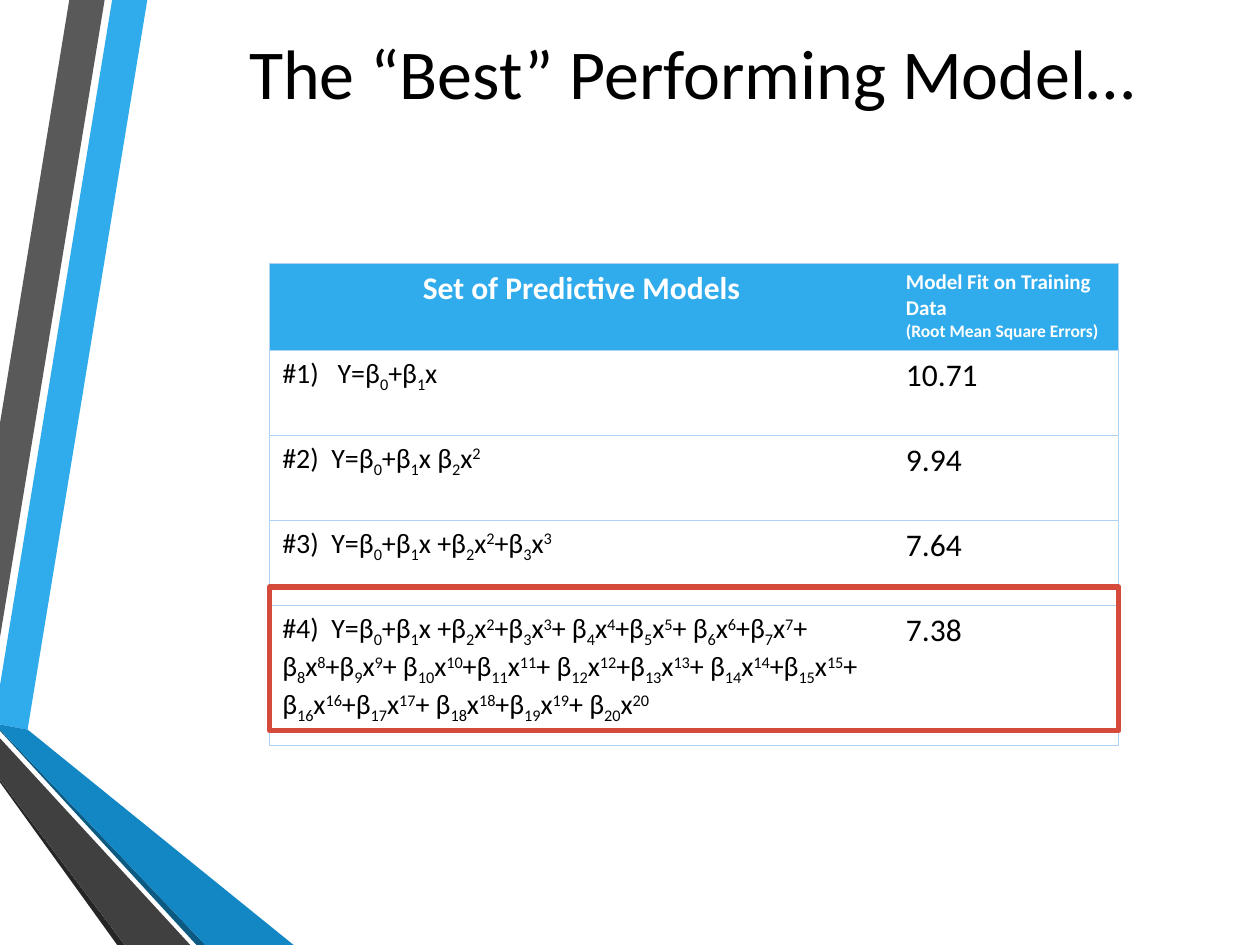
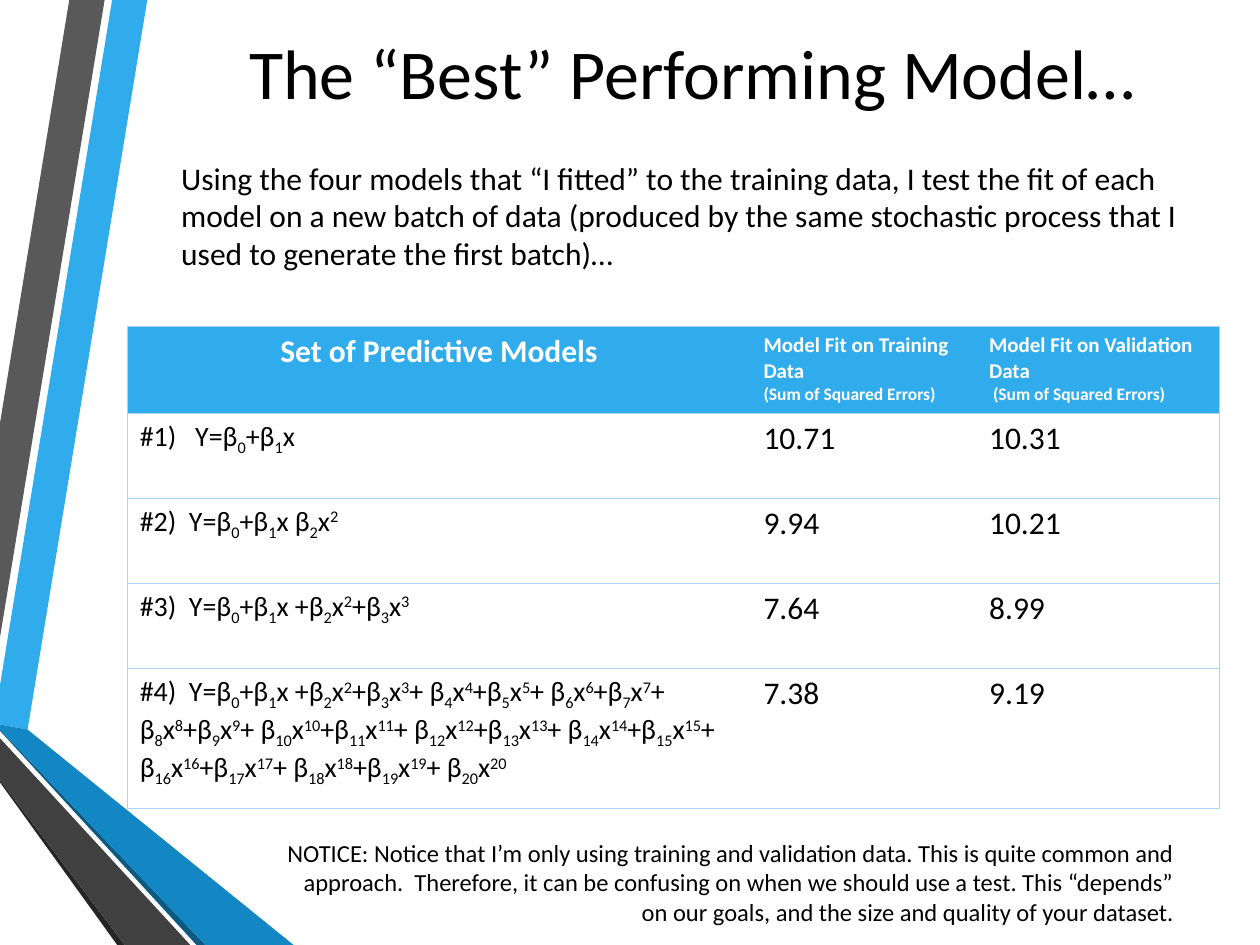
from dataclasses import dataclass
from itertools import groupby

from lxml.etree import SubElement
from pptx import Presentation
from pptx.dml.color import RGBColor
from pptx.enum.shapes import MSO_SHAPE as Shape
from pptx.enum.text import MSO_ANCHOR as Anchor, MSO_AUTO_SIZE as AutoSize, PP_ALIGN as Align
from pptx.oxml.ns import qn
from pptx.util import Pt

TITLE = "The “Best” Performing Model… "
INTRO = ("Using the four models that “I fitted” to the training data, I test the fit of each "
         "model on a new batch of data (produced by the same stochastic process that I used "
         "to generate the first batch)…")
NOTICE = ("NOTICE: Notice that I’m only using training and validation data. This is quite common "
          "and approach.  Therefore, it can be confusing on when we should use a test. This "
          "“depends” on our goals, and the size and quality of your dataset.")

# In formulas, digits after _ are subscripts and digits after ^ are superscripts.
CUBIC = "Y=β_0+β_1x +β_2x^2+β_3x^3"
HIGHER_TERMS = "".join(f"{'+' if power % 2 else '+ '}β_{power}x^{power}" for power in range(4, 21))
MODELS_HEADING = "Set of Predictive Models"
MODELS = ["#1)   Y=β_0+β_1x", "#2)  Y=β_0+β_1x β_2x^2", f"#3)  {CUBIC}", f"#4)  {CUBIC}{HIGHER_TERMS}"]
TRAINING_FIT = ["10.71", "9.94", "7.64", "7.38"]
VALIDATION_FIT = ["10.31", "10.21", "8.99", "9.19"]

# Each fit column: heading, measure, values
TRAINING_ONLY = [("Model Fit on Training Data", "(Root Mean Square Errors)", TRAINING_FIT)]
TRAINING_AND_VALIDATION = [
    ("Model Fit on Training Data", "(Sum of Squared Errors)", TRAINING_FIT),
    ("Model Fit on Validation Data", " (Sum of Squared Errors)", VALIDATION_FIT),
]


@dataclass(frozen=True)
class Theme:
    font: str = "Calibri"
    text: str = "000000"
    header_text: str = "FFFFFF"
    header_fill: str = "30ACEC"
    rule: str = "AED2F4"
    highlight: str = "D64A3B"
    title_size: int = 40
    text_size: int = 18
    formula_size: int = 16
    notice_size: int = 14
    heading_size: int = 12
    measure_size: int = 10


THEME = Theme()

# Fill and outline of each decorative band
BANDS = [
    ("30ACEC", [(0, 391.7), (0, 414), (15.8, 416.9), (84.2, 0), (64.1, 0)]),
    ("595959", [(59.8, 0), (39.6, 0), (0, 241.9), (0, 364.3)]),
    ("262626", [(0, 445.7), (0, 447.1), (67, 540), (71.3, 540)]),
    ("0C5A82", [(0, 416.9), (0, 417.6), (112.3, 540), (117.4, 540)]),
    ("1287C3", [(0, 416.9), (117.4, 540), (167.8, 540), (15.8, 416.9), (0, 414)]),
    ("404040", [(0, 445.7), (71.3, 540), (108.7, 540), (0, 421.9)]),
]

TITLE_BOX = (96.5, -37.4, 607, 156.2)
INTRO_BOX = (96.5, 87.1, 607, 72.7)
NOTICE_BOX = (152.6, 475.2, 525.6, 58.3)
HIGHLIGHT_BOX = (154.1, 335.5, 485.3, 82.1)
COLUMN_WIDTHS = (356.4, 128.9, 139)
ROW_HEIGHTS = (49.7, 48.6, 48.6, 48.6, 79.9)
RULE_WIDTH = 0.75
BASELINES = {"_": "-25000", "^": "30000"}
NO_TABLE_STYLE = "{2D5ABB26-0587-4C30-8999-92F81FD0307C}"


def points(values):
    return [Pt(value) for value in values]


def add_run(paragraph, text, size, color=THEME.text, bold=False):
    run = paragraph.add_run()
    run.text = text
    for attribute, value in {"name": THEME.font, "size": Pt(size), "bold": bold}.items():
        setattr(run.font, attribute, value)
    run.font.color.rgb = RGBColor.from_string(color)
    return run


def add_formula(paragraph, formula):
    """Add runs, raising or lowering the digits that follow ^ or _."""
    marked, mark = [], ""
    for letter in formula:
        if letter in BASELINES:
            mark = letter
            continue
        if not letter.isdigit():
            mark = ""
        marked.append((mark, letter))
    for mark, letters in groupby(marked, key=lambda pair: pair[0]):
        run = add_run(paragraph, "".join(letter for _, letter in letters), THEME.formula_size)
        if mark:
            run.font._element.set("baseline", BASELINES[mark])


def add_bands(slide, layout):
    """Draw the bands and move them to the layout, where all slides share them."""
    for color, outline in BANDS:
        start, *rest = [points(corner) for corner in outline]
        builder = slide.shapes.build_freeform(*start, scale=1.0)
        builder.add_line_segments(rest, close=True)
        band = builder.convert_to_shape()
        band.shadow.inherit = False
        band.fill.solid()
        band.fill.fore_color.rgb = RGBColor.from_string(color)
        band.line.fill.background()
        layout.shapes.element.append(band.element)


def add_title(slide):
    title = slide.shapes.title
    for side, value in zip(("left", "top", "width", "height"), points(TITLE_BOX)):
        setattr(title, side, value)
    frame = title.text_frame
    frame.auto_size = AutoSize.NONE
    frame.vertical_anchor = Anchor.MIDDLE
    frame.paragraphs[0].alignment = Align.CENTER
    add_run(frame.paragraphs[0], TITLE, THEME.title_size)


def add_note(slide, box, text, size, alignment):
    frame = slide.shapes.add_textbox(*points(box)).text_frame
    frame.word_wrap = True
    frame.paragraphs[0].alignment = alignment
    add_run(frame.paragraphs[0], text, size)


def rule_cell(cell, sides):
    properties = cell._tc.get_or_add_tcPr()
    for position, side in enumerate(sides):
        line = properties.makeelement(qn(f"a:ln{side}"), {"w": str(Pt(RULE_WIDTH))})
        SubElement(SubElement(line, qn("a:solidFill")), qn("a:srgbClr"), val=THEME.rule)
        properties.insert(position, line)


def add_models_table(slide, left, top, fits):
    widths = COLUMN_WIDTHS[:len(fits) + 1]
    frame = slide.shapes.add_table(len(ROW_HEIGHTS), len(widths),
                                   *points((left, top, sum(widths), sum(ROW_HEIGHTS))))
    table = frame.table
    table._tbl.tblPr.find(qn("a:tableStyleId")).text = NO_TABLE_STYLE
    for column, width in zip(table.columns, widths):
        column.width = Pt(width)
    for row, height in zip(table.rows, ROW_HEIGHTS):
        row.height = Pt(height)

    for row_index, row in enumerate(table.rows):
        for column_index, cell in enumerate(row.cells):
            if row_index:
                cell.fill.background()
            else:
                cell.fill.solid()
                cell.fill.fore_color.rgb = RGBColor.from_string(THEME.header_fill)
            first, last = column_index == 0, column_index == len(fits)
            rule_cell(cell, ("L" if first else "") + ("R" if last else "") + "TB")

    heading = table.cell(0, 0).text_frame.paragraphs[0]
    heading.alignment = Align.CENTER
    add_run(heading, MODELS_HEADING, THEME.text_size, THEME.header_text, True)
    for row_index, model in enumerate(MODELS, 1):
        add_formula(table.cell(row_index, 0).text_frame.paragraphs[0], model)
    for column_index, (name, measure, values) in enumerate(fits, 1):
        header = table.cell(0, column_index).text_frame
        add_run(header.paragraphs[0], name, THEME.heading_size, THEME.header_text, True)
        add_run(header.add_paragraph(), measure, THEME.measure_size, THEME.header_text, True)
        for row_index, value in enumerate(values, 1):
            add_run(table.cell(row_index, column_index).text_frame.paragraphs[0],
                    value, THEME.text_size)


def add_highlight(slide):
    highlight = slide.shapes.add_shape(Shape.RECTANGLE, *points(HIGHLIGHT_BOX))
    highlight.shadow.inherit = False
    highlight.fill.background()
    highlight.line.color.rgb = RGBColor.from_string(THEME.highlight)
    highlight.line.width = Pt(3)


def main():
    deck = Presentation()
    deck.slide_width, deck.slide_height = Pt(720), Pt(540)
    layout = deck.slide_layouts.get_by_name("Title Only")
    training, validation = (deck.slides.add_slide(layout) for _ in range(2))
    add_bands(training, layout)
    for slide in (training, validation):
        add_title(slide)

    add_models_table(training, 154.1, 150.5, TRAINING_ONLY)
    add_highlight(training)

    add_note(validation, INTRO_BOX, INTRO, THEME.text_size, Align.LEFT)
    add_models_table(validation, 72.7, 186.5, TRAINING_AND_VALIDATION)
    add_note(validation, NOTICE_BOX, NOTICE, THEME.notice_size, Align.RIGHT)
    deck.save("out.pptx")


if __name__ == "__main__":
    main()
